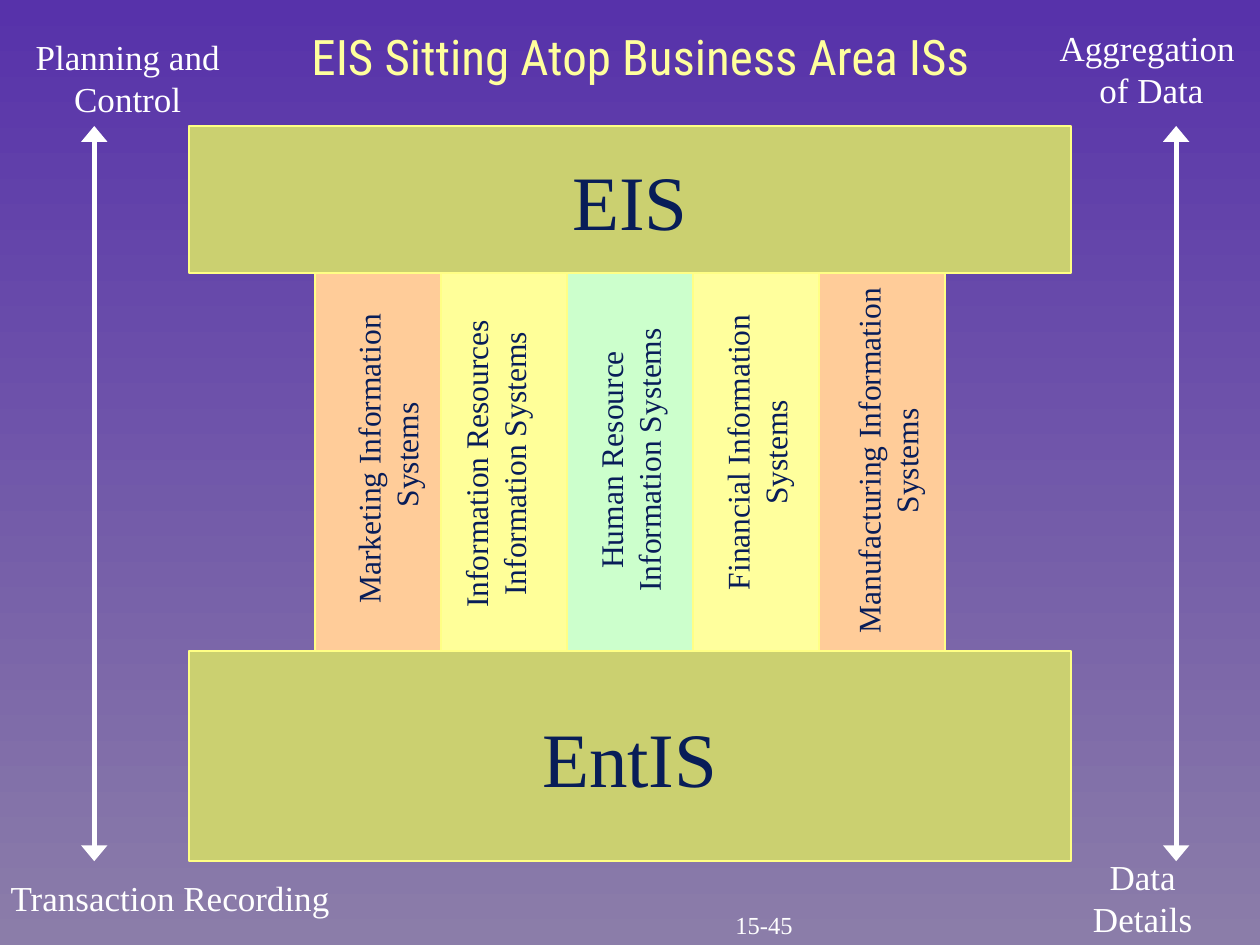
import dataclasses

import lxml.etree
import pptx
import pptx.dml.color
import pptx.enum.shapes
import pptx.enum.text
import pptx.oxml.ns
import pptx.util

Cm = pptx.util.Cm


@dataclasses.dataclass(frozen=True)
class Theme:
    """Colours, fonts and type sizes of the slide."""
    sky: str = "5732AA"
    ground: str = "8B7DA9"
    slab: str = "CBD070"
    edge: str = "FFFF85"
    peach: str = "FFCC99"
    yellow: str = "FFFF99"
    mint: str = "CCFFCC"
    lemon: str = "FFFF9D"
    ink: str = "081D58"
    white: str = "FFFFFF"
    serif: str = "Times New Roman"
    heading: str = "Roboto Condensed"
    title_size: int = 28
    slab_size: int = 44
    caption_size: int = 20
    column_size: int = 18
    number_size: int = 14


@dataclasses.dataclass(frozen=True)
class Box:
    """A rectangle in centimetres."""
    left: float
    top: float
    width: float
    height: float

    def lengths(self):
        """Return the four lengths that python-pptx expects."""
        return Cm(self.left), Cm(self.top), Cm(self.width), Cm(self.height)


THEME = Theme()


def colour(value):
    """Turn a hex string into a colour."""
    return pptx.dml.color.RGBColor.from_string(value)


def write_text(shape, text, *, size, color, font=THEME.serif, wrap=False, grow=False):
    """Fill a shape with centred text, one paragraph to each line."""
    frame = shape.text_frame
    frame.text = text
    frame.word_wrap = wrap
    frame.vertical_anchor = pptx.enum.text.MSO_ANCHOR.MIDDLE
    if grow:
        frame.auto_size = pptx.enum.text.MSO_AUTO_SIZE.SHAPE_TO_FIT_TEXT
    for paragraph in frame.paragraphs:
        paragraph.alignment = pptx.enum.text.PP_ALIGN.CENTER
        paragraph.font.size = pptx.util.Pt(size)
        paragraph.font.name = font
        paragraph.font.color.rgb = colour(color)


def add_label(slide, box, text, **text_format):
    """Add a text box with a label and return it."""
    shape = slide.shapes.add_textbox(*box.lengths())
    write_text(shape, text, grow=True, **text_format)
    return shape


def add_block(slide, box, fill):
    """Add an outlined rectangle and return it."""
    shape = slide.shapes.add_shape(
        pptx.enum.shapes.MSO_SHAPE.RECTANGLE, *box.lengths())
    shape.shadow.inherit = False
    shape.fill.solid()
    shape.fill.fore_color.rgb = colour(fill)
    shape.line.color.rgb = colour(THEME.edge)
    shape.line.width = pptx.util.Pt(1)
    return shape


def add_slab(slide, box, text):
    """Add one of the wide slabs above and below the columns."""
    write_text(add_block(slide, box, THEME.slab), text,
               size=THEME.slab_size, color=THEME.ink)


def add_columns(slide, box, columns):
    """Add equal columns, then their upright labels near each centre."""
    width = box.width / len(columns)
    thickness = 1.78
    for index, (fill, *_) in enumerate(columns):
        add_block(slide, Box(box.left + index * width, box.top, width, box.height), fill)
    for index, (_, text, length, shift_x, shift_y, wrap) in enumerate(columns):
        center_x = box.left + (index + 0.5) * width + shift_x
        center_y = box.top + box.height / 2 + shift_y
        label_box = Box(center_x - length / 2, center_y - thickness / 2, length, thickness)
        label = add_label(slide, label_box, text, size=THEME.column_size,
                          color=THEME.ink, wrap=wrap)
        label.rotation = 270


def add_scale(slide, x, top, bottom, captions):
    """Add a vertical double arrow and the captions at its ends."""
    connector = slide.shapes.add_connector(
        pptx.enum.shapes.MSO_CONNECTOR.STRAIGHT, Cm(x), Cm(bottom), Cm(x), Cm(top))
    connector.line.color.rgb = colour(THEME.white)
    connector.line.width = pptx.util.Pt(3)
    qualify = pptx.oxml.ns.qn
    line = connector.line._get_or_add_ln()
    for end in ("a:headEnd", "a:tailEnd"):
        lxml.etree.SubElement(line, qualify(end), type="triangle", w="lg", len="med")
    lxml.etree.SubElement(connector._element.spPr, qualify("a:effectLst"))
    for box, text, wrap in captions:
        add_label(slide, box, text, size=THEME.caption_size,
                  color=THEME.white, wrap=wrap)


def paint_background(slide):
    """Paint the vertical gradient behind the slide."""
    fill = slide.background.fill
    fill.gradient()
    fill.gradient_angle = 270
    for stop, position, value in zip(
            fill.gradient_stops, (0, 1), (THEME.sky, THEME.ground)):
        stop.position = position
        stop.color.rgb = colour(value)


def main():
    """Build and save the slide."""
    presentation = pptx.Presentation()
    presentation.slide_width = Cm(25.4)
    presentation.slide_height = Cm(19.05)
    slide = presentation.slides.add_slide(presentation.slide_layouts[6])
    paint_background(slide)

    add_slab(slide, Box(3.81, 2.54, 17.78, 2.97), "EIS")
    add_slab(slide, Box(3.81, 13.13, 17.78, 4.23), "EntIS")
    add_columns(slide, Box(6.35, 5.51, 12.7, 7.62), [
        (THEME.peach, "Marketing Information \nSystems", 6.5, 0.18, -0.15, False),
        (THEME.yellow, "Information Resources Information Systems", 7.54, -0.19, 0.03, True),
        (THEME.mint, "Human Resource Information Systems", 7.54, -0.01, -0.05, True),
        (THEME.lemon, "Financial Information Systems", 7.11, 0, -0.2, True),
        (THEME.peach, "Manufacturing Information Systems", 7.62, 0.1, -0.03, True),
    ])
    add_scale(slide, 1.9, 2.54, 17.36, [
        (Box(0.43, 0.58, 4.29, 1.96), "Planning and Control", True),
        (Box(-0.05, 17.53, 6.96, 1.12), "Transaction Recording", False),
    ])
    add_scale(slide, 23.71, 2.54, 17.36, [
        (Box(21.03, 0.41, 4.37, 1.96), "Aggregation \nof Data", True),
        (Box(21.03, 17.53, 4.01, 1.12), "Data Details", False),
    ])
    add_label(slide, Box(4.93, 0.41, 15.95, 1.45), "EIS Sitting Atop Business Area ISs",
              size=THEME.title_size, color=THEME.lemon, font=THEME.heading)
    add_label(slide, Box(13.79, 18.21, 3.23, 0.86), "15-45",
              size=THEME.number_size, color=THEME.white)
    presentation.save("out.pptx")


if __name__ == "__main__":
    main()
